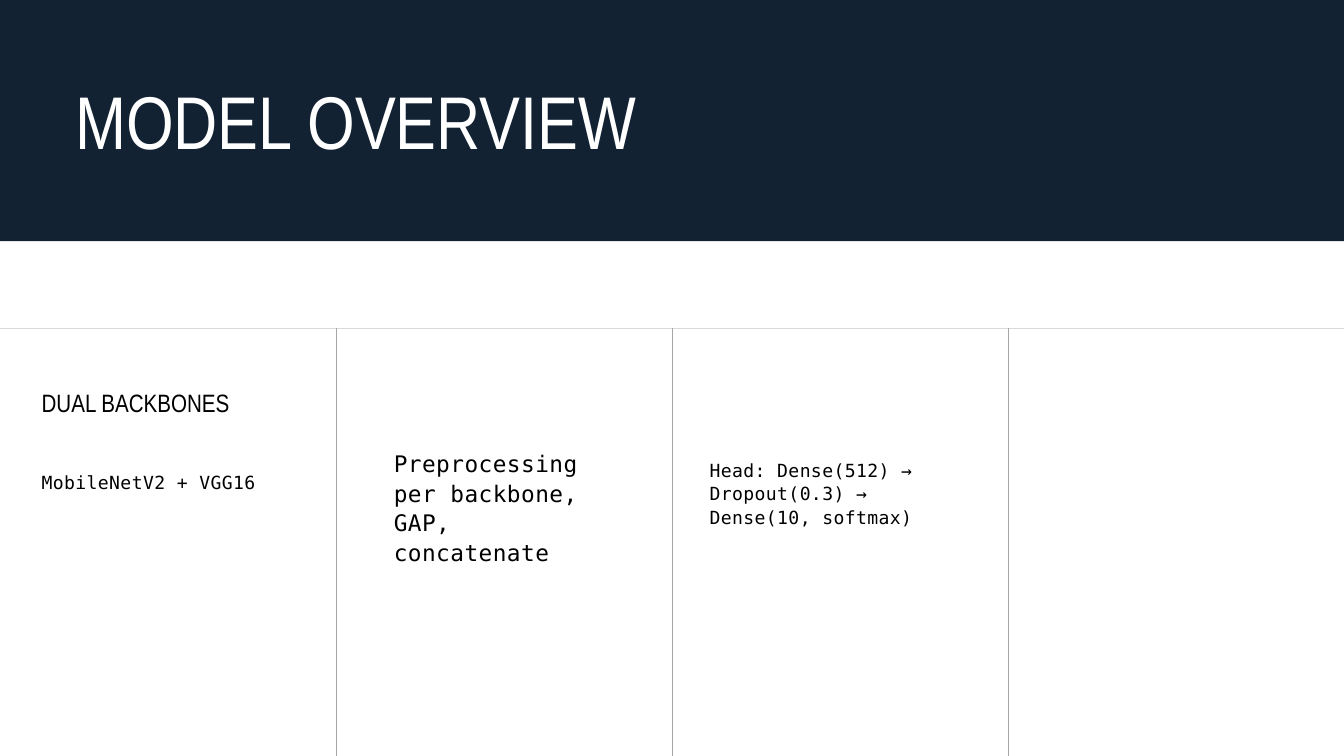
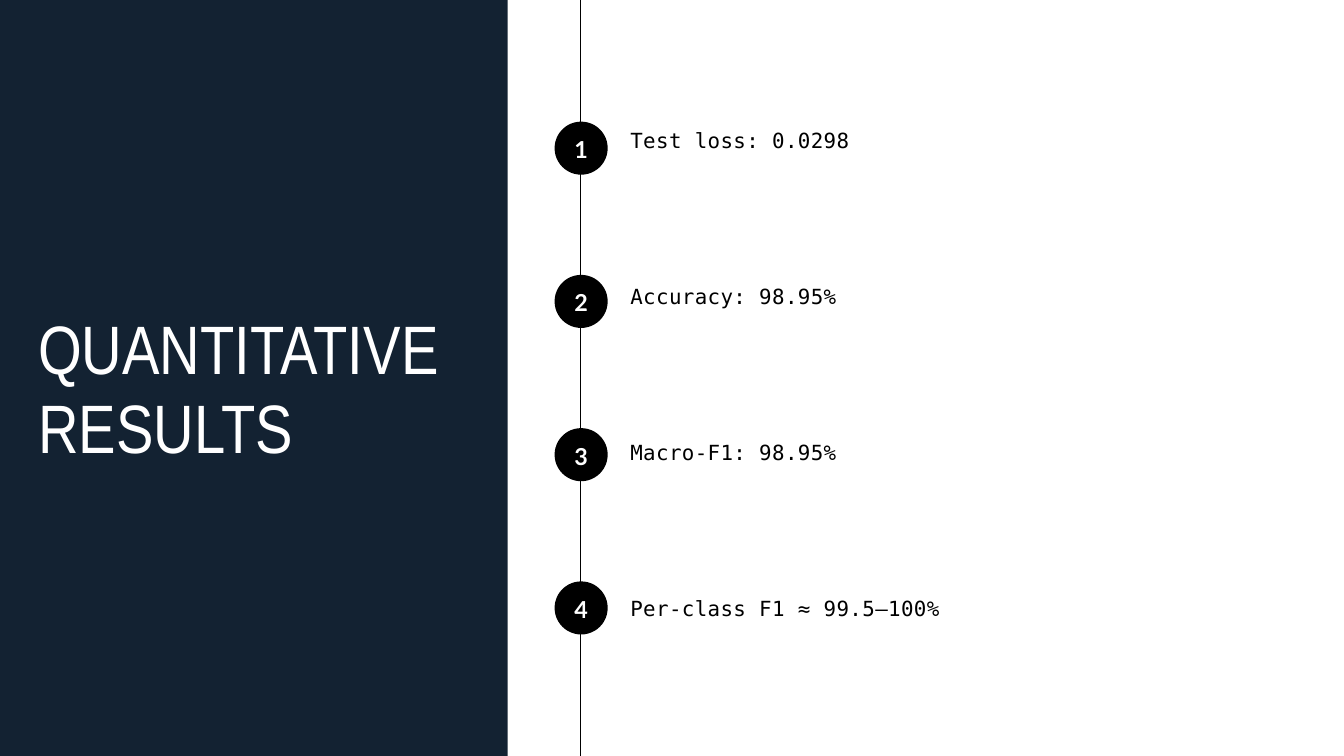
from dataclasses import dataclass

import lxml.etree
import pptx
import pptx.dml.color
import pptx.enum.shapes
import pptx.enum.text
import pptx.oxml.ns
import pptx.util

Pt = pptx.util.Pt
Shape = pptx.enum.shapes.MSO_SHAPE
Align = pptx.enum.text.PP_ALIGN
Anchor = pptx.enum.text.MSO_ANCHOR
Fit = pptx.enum.text.MSO_AUTO_SIZE


@dataclass(frozen=True)
class Type:
    """Font, size, line height and letter spacing of one kind of text."""
    face: str
    size: float
    lead: float
    track: float = 0
    bold: bool = False


@dataclass(frozen=True)
class Theme:
    """Colours and type sizes of the deck."""
    navy: str = "132232"
    white: str = "FFFFFF"
    black: str = "000000"
    pale: str = "D9D9D9"
    grey: str = "A6A6A6"
    title: Type = Type("Arial Narrow", 80, 92)
    side: Type = Type("Arial Narrow", 73.4, 84.4)
    head: Type = Type("Arial Narrow", 26.9, 30.9)
    small: Type = Type("DejaVu Sans Mono", 19.4, 25.5, 0.4)
    body: Type = Type("DejaVu Sans Mono", 22.3, 29.2, 0.4)
    large: Type = Type("DejaVu Sans Mono", 24.4, 32, 0.5)
    badge: Type = Type("Lato", 25, 36.2, 2.3, True)


class Deck:
    """Holds the theme and the slide being drawn."""

    def __init__(self, wide, high):
        self.theme = Theme()
        self.show = pptx.Presentation()
        self.wide, self.high = wide, high
        self.show.slide_width, self.show.slide_height = Pt(wide), Pt(high)

    def page(self):
        """Start a blank slide."""
        slide = self.show.slides.add_slide(self.show.slide_layouts[6])
        slide.background.fill.solid()
        slide.background.fill.fore_color.rgb = self.tint(self.theme.white)
        self.shapes = slide.shapes

    def tint(self, code):
        """Turn a hex code into a colour."""
        return pptx.dml.color.RGBColor.from_string(code)

    def solid(self, kind, color, *box):
        """Add a filled shape without outline or shadow."""
        shape = self.shapes.add_shape(kind, *map(Pt, box))
        shape.shadow.inherit = False
        shape.fill.solid()
        shape.fill.fore_color.rgb = self.tint(color)
        shape.line.fill.background()
        return shape

    def band(self, wide, high):
        """Add the navy band in the top left corner."""
        self.solid(Shape.RECTANGLE, self.theme.navy, 0, 0, wide, high)

    def rule(self, color, *ends):
        """Add a thin straight line."""
        line = self.shapes.add_connector(
            pptx.enum.shapes.MSO_CONNECTOR.STRAIGHT, *map(Pt, ends))
        line.line.color.rgb = self.tint(color)
        line.line.width = Pt(0.75)
        lxml.etree.SubElement(line._element.spPr,
                              pptx.oxml.ns.qn("a:effectLst"))

    def words(self, frame, text, style, color, align=Align.LEFT):
        """Set one styled paragraph in a text frame."""
        frame.margin_left = frame.margin_right = 0
        frame.margin_top = frame.margin_bottom = 0
        frame.word_wrap = True
        para = frame.paragraphs[0]
        para.text = text
        para.alignment = align
        para.line_spacing = Pt(style.lead)
        font = para.font
        font.name, font.size, font.bold = style.face, Pt(style.size), style.bold
        font.color.rgb = self.tint(color)
        font._rPr.set("spc", str(round(style.track * 100)))

    def text(self, text, style, *box, color=None):
        """Add a text box that grows with its words."""
        frame = self.shapes.add_textbox(*map(Pt, box)).text_frame
        self.words(frame, text, style, color or self.theme.black)
        frame.auto_size = Fit.SHAPE_TO_FIT_TEXT

    def badge(self, label, left, top, size):
        """Add a numbered disc."""
        disc = self.solid(Shape.OVAL, self.theme.black, left, top, size, size)
        frame = disc.text_frame
        self.words(frame, label, self.theme.badge, self.theme.white, Align.CENTER)
        frame.vertical_anchor = Anchor.MIDDLE
        frame.margin_bottom = Pt(4)


def model(deck):
    """Draw the model overview in four columns."""
    theme = deck.theme
    deck.page()
    deck.band(deck.wide, 258.5)
    top = 351.4
    deck.rule(theme.pale, 0, top, deck.wide, top)
    deck.text("MODEL OVERVIEW", theme.title, 80.6, 84.2, 1032, 92,
              color=theme.white)
    step = deck.wide / 4
    for col in range(1, 4):
        deck.rule(theme.grey, col * step, top, col * step, deck.high)
    deck.text("DUAL BACKBONES", theme.head, 44.6, 416.9, 275, 30.9)
    deck.text("MobileNetV2 + VGG16", theme.small, 44.6, 503.3, 275, 27)
    deck.text("Preprocessing per backbone, GAP, concatenate", theme.large,
              421.9, 478.8, 236, 97)
    deck.text("Head: Dense(512) → Dropout(0.3) → Dense(10, softmax)",
              theme.small, 760.3, 489.6, 282, 77)


def results(deck):
    """Draw the numbered list of scores."""
    theme = deck.theme
    deck.page()
    deck.band(543.9, deck.high)
    deck.text("QUANTITATIVE RESULTS", theme.side, 41, 331.9, 461.5, 168.5,
              color=theme.white)
    deck.rule(theme.black, 622.2, 0, 622.2, deck.high)
    scores = ("Test loss: 0.0298", "Accuracy: 98.95%", "Macro-F1: 98.95%",
              "Per-class F1 ≈ 99.5–100%")
    for row, score in enumerate(scores):
        deck.badge(str(row + 1), 594.2, 130.3 + row * 164.2, 56.9)
        deck.text(score, theme.body, 675.4, 134.6 + row * 167.1, 465.8, 61)


def main():
    """Build and save the deck."""
    deck = Deck(1440, 810)
    model(deck)
    results(deck)
    deck.show.save("out.pptx")


if __name__ == "__main__":
    main()
